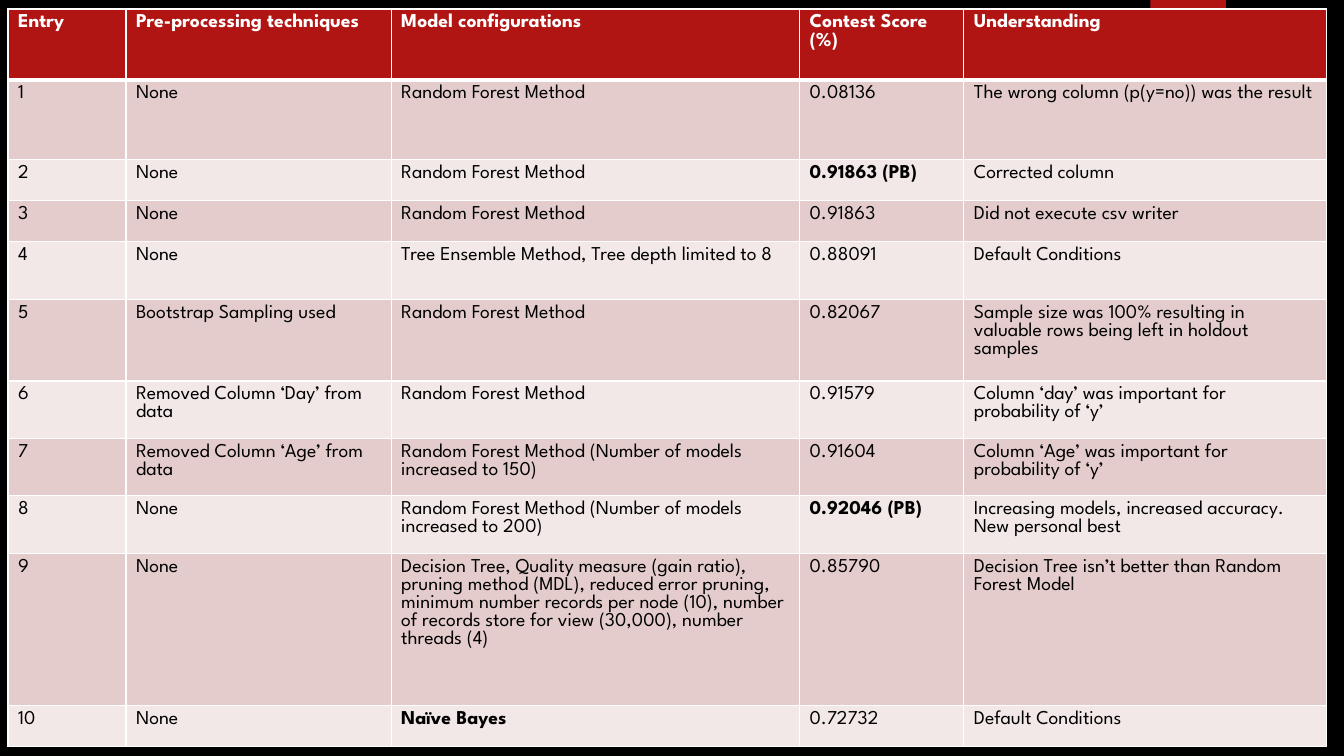
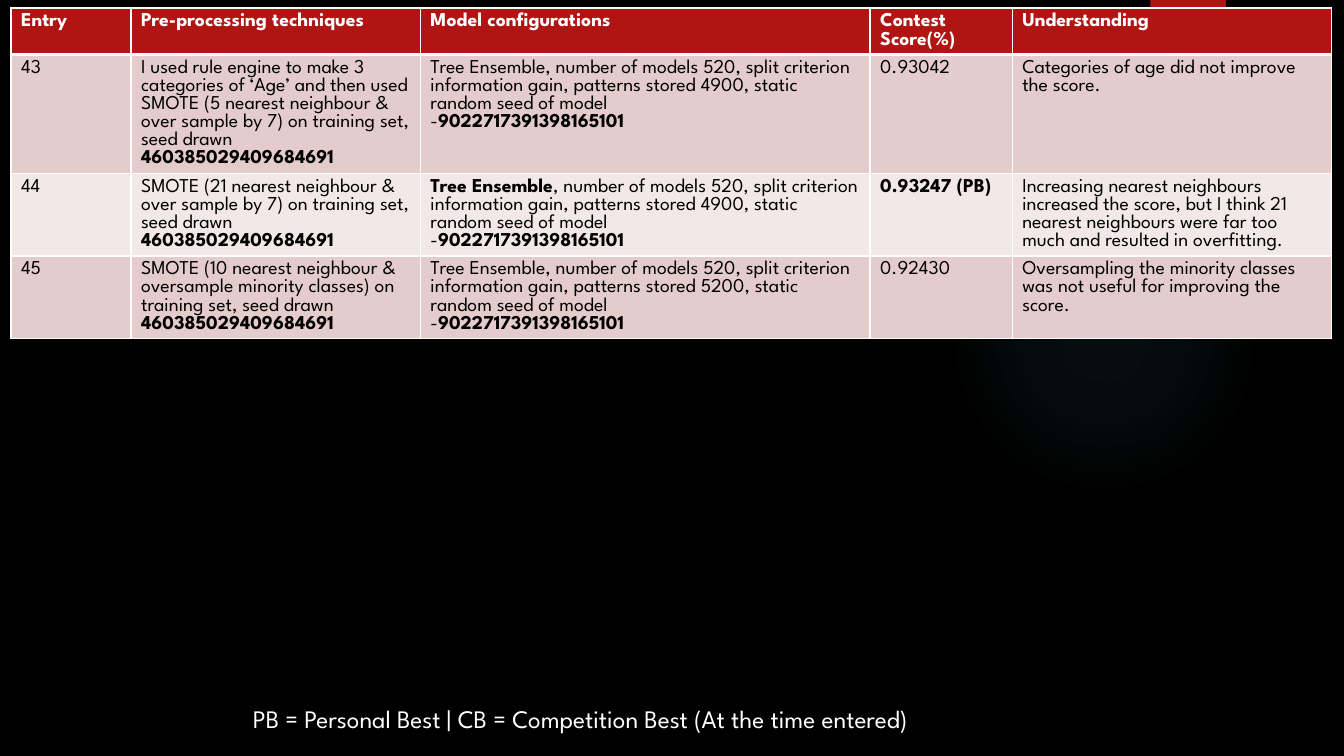
from lxml import etree
from pptx import Presentation
from pptx import util as u
from pptx.dml.color import RGBColor
from pptx.enum import shapes
from pptx.oxml import ns, parse_xml

FONT = "League Spartan"
BLACK, WHITE, RED, TEAL = "000000", "FFFFFF", "B01513", "50B9C1"
BANDS = ("E4CCCC", "F2E8E7")
DRAWING = ns.nsdecls("a")

FOREST = "Random Forest Method"
SAMPLING_SEED = "seed drawn **460385029409684691**"
MODEL_SEED = "-**9022717391398165101**"


def ensemble(stored, name="Tree Ensemble"):
    return (f"{name}, number of models 520, split criterion information gain, "
            f"patterns stored {stored}, static random seed of model\n{MODEL_SEED}")


def header(score):
    return ("Entry", "Pre-processing techniques", "Model configurations",
            score, "Understanding")


FIRST_ENTRIES = [
    header("Contest Score (%)"),
    ("1", "None", FOREST, "0.08136", "The wrong column (p(y=no)) was the result"),
    ("2", "None", FOREST, "**0.91863 (PB)**", "Corrected column"),
    ("3", "None", FOREST, "0.91863", "Did not execute csv writer"),
    ("4", "None", "Tree Ensemble Method, Tree depth limited to 8", "0.88091",
     "Default Conditions"),
    ("5", "Bootstrap Sampling used", FOREST, "0.82067",
     "Sample size was 100% resulting in valuable rows being left in holdout samples"),
    ("6", "Removed Column ‘Day’ from data", FOREST, "0.91579",
     "Column ‘day’ was important for probability of ‘y’"),
    ("7", "Removed Column ‘Age’ from data",
     f"{FOREST} (Number of models increased to 150)", "0.91604",
     "Column ‘Age’ was important for probability of ‘y’"),
    ("8", "None", f"{FOREST} (Number of models increased to 200)",
     "**0.92046 (PB)**", "Increasing models, increased accuracy. New personal best"),
    ("9", "None",
     "Decision Tree, Quality measure (gain ratio), pruning method (MDL), "
     "reduced error pruning, minimum number records per node (10), number of "
     "records store for view (30,000), number threads (4)", "0.85790",
     "Decision Tree isn’t better than Random Forest Model"),
    ("10", "None", "**Naïve Bayes**", "0.72732", "Default Conditions"),
]

LAST_ENTRIES = [
    header("Contest Score(%)"),
    ("43", "I used rule engine to make 3 categories of ‘Age’ and then used SMOTE "
     f"(5 nearest neighbour & over sample by 7) on training set, {SAMPLING_SEED}",
     ensemble(4900), "0.93042", "Categories of age did not improve the score."),
    ("44", "SMOTE (21 nearest neighbour & over sample by 7) on training set, "
     f"{SAMPLING_SEED}", ensemble(4900, "**Tree Ensemble**"), "**0.93247 (PB)**",
     "Increasing nearest neighbours increased the score, but I think 21 nearest "
     "neighbours were far too much and resulted in overfitting."),
    ("45", "SMOTE (10 nearest neighbour & oversample minority classes) on training "
     f"set, {SAMPLING_SEED}", ensemble(5200), "0.92430",
     "Oversampling the minority classes was not useful for improving the score."),
]


def paint(color, value):
    color.rgb = RGBColor.from_string(value)


def fill_solid(fill, value):
    fill.solid()
    paint(fill.fore_color, value)


def write_text(frame, text, size=14, color=BLACK, bold=False):
    frame.word_wrap = True
    for index, line in enumerate(text.split("\n")):
        para = frame.add_paragraph() if index else frame.paragraphs[0]
        for part, words in enumerate(line.split("**")):
            if not words:
                continue
            span = para.add_run()
            span.text = words
            span.font.name = FONT
            span.font.size = u.Pt(size)
            span.font.bold = bold or part % 2 == 1
            paint(span.font.color, color)


def set_borders(cell, top=1, bottom=1):
    properties = cell._tc.get_or_add_tcPr()
    sides = (("L", 1), ("R", 1), ("T", top), ("B", bottom))
    for index, (side, width) in enumerate(sides):
        line = parse_xml(
            f'<a:ln{side} {DRAWING} w="{u.Pt(width)}"><a:solidFill>'
            f'<a:srgbClr val="{WHITE}"/></a:solidFill></a:ln{side}>')
        properties.insert(index, line)


def add_entries(page, left, top, columns, heights, entries):
    frame = page.shapes.add_table(
        len(entries), len(columns), u.Inches(left), u.Inches(top),
        u.Inches(sum(columns)), u.Inches(sum(heights)))
    table = frame.table
    for column, width in zip(table.columns, columns):
        column.width = u.Inches(width)
    for number, (row, height, entry) in enumerate(zip(table.rows, heights, entries)):
        row.height = u.Inches(height)
        heading = number == 0
        for cell, text in zip(row.cells, entry):
            fill_solid(cell.fill, RED if heading else BANDS[(number - 1) % 2])
            set_borders(cell, top=3 if number == 1 else 1, bottom=3 if heading else 1)
            write_text(cell.text_frame, text, color=WHITE if heading else BLACK,
                       bold=heading)


def add_note(page, left, top, width, height, text):
    box = page.shapes.add_textbox(*map(u.Inches, (left, top, width, height)))
    write_text(box.text_frame, text, size=18, color=WHITE)


def add_master_shape(page, master, kind, left, top, width, height):
    shape = page.shapes.add_shape(kind, *map(u.Inches, (left, top, width, height)))
    shape.shadow.inherit = False
    shape.line.fill.background()
    tree = master.shapes.element
    shape.element.nvSpPr.cNvPr.set("id", str(100 + len(tree)))
    tree.insert(2, shape.element)
    return shape


def style_master(page, master):
    fill_solid(master.background.fill, BLACK)
    tab = add_master_shape(page, master, shapes.MSO_SHAPE.RECTANGLE,
                           11.41, 0, 0.75, 1.25)
    fill_solid(tab.fill, RED)
    effects = tab.element.spPr.find(ns.qn("a:effectLst"))
    effects.append(parse_xml(
        f'<a:outerShdw {DRAWING} blurRad="{u.Pt(3)}" dist="{u.Pt(2)}" dir="5400000">'
        f'<a:srgbClr val="{BLACK}"><a:alpha val="45000"/></a:srgbClr></a:outerShdw>'))

    glow = add_master_shape(page, master, shapes.MSO_SHAPE.OVAL,
                            9.41, 1.83, 3.08, 3.08)
    glow.fill.gradient()
    gradient = glow.element.spPr.find(ns.qn("a:gradFill"))
    for child in list(gradient):
        gradient.remove(child)
    stops = etree.SubElement(gradient, ns.qn("a:gsLst"))
    for position, alpha in ((0, 7), (36, 6), (69, 0)):
        stops.append(parse_xml(
            f'<a:gs {DRAWING} pos="{position * 1000}"><a:srgbClr val="{TEAL}">'
            f'<a:alpha val="{alpha * 1000}"/></a:srgbClr></a:gs>'))
    gradient.append(parse_xml(
        f'<a:path {DRAWING} path="circle">'
        '<a:fillToRect l="50000" t="50000" r="50000" b="50000"/></a:path>'))


def main():
    deck = Presentation()
    deck.slide_width, deck.slide_height = u.Inches(13.33), u.Inches(7.5)
    blank = deck.slide_layouts[6]
    first, last = (deck.slides.add_slide(blank) for _ in range(2))
    style_master(first, deck.slide_master)

    add_entries(first, 0.08, 0.09, (1.17, 2.63, 4.05, 1.63, 3.6),
                (0.7, 0.79, 0.41, 0.41, 0.57, 0.81, 0.57, 0.57, 0.57, 1.51, 0.41),
                FIRST_ENTRIES)
    add_entries(last, 0.11, 0.08, (1.19, 2.87, 4.46, 1.41, 3.17),
                (0.46, 1.18, 0.82, 0.82), LAST_ENTRIES)
    add_note(last, 2.41, 6.93, 10.8, 0.4,
             "PB = Personal Best | CB = Competition Best (At the time entered)")
    deck.save("out.pptx")


if __name__ == "__main__":
    main()
